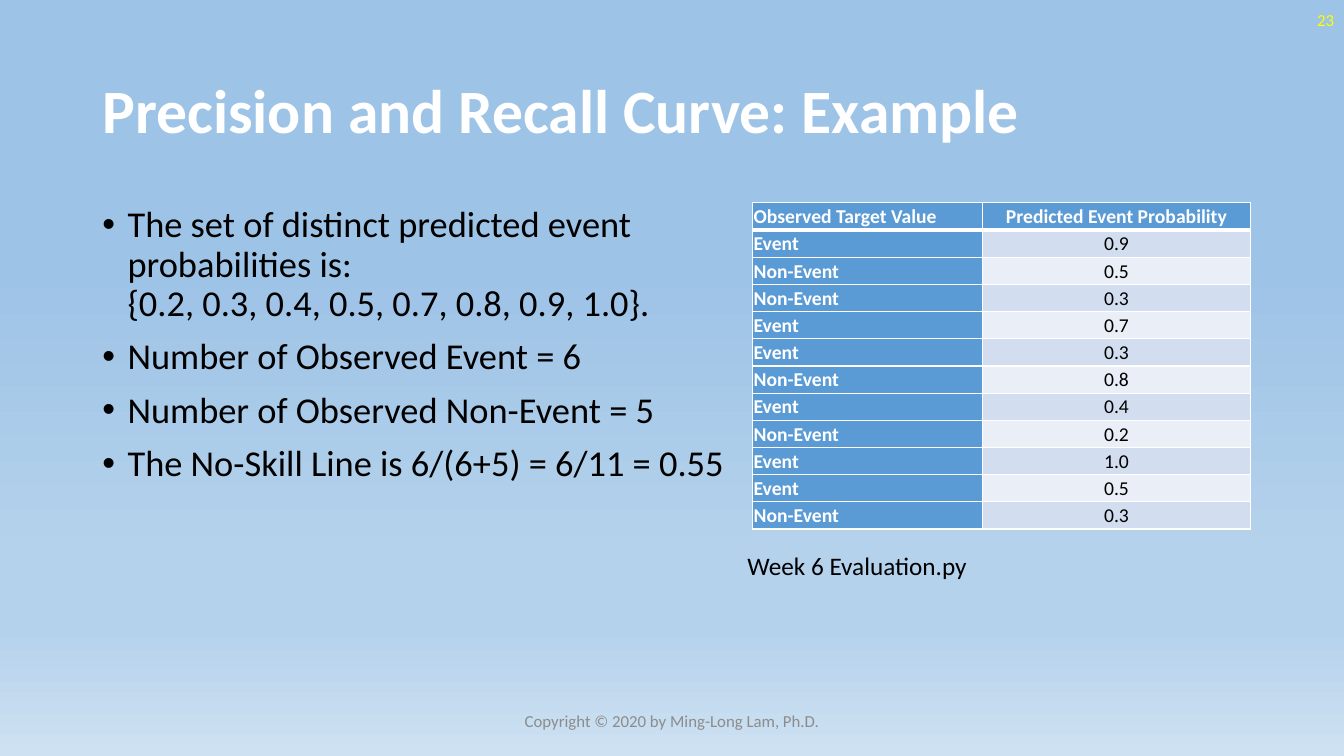
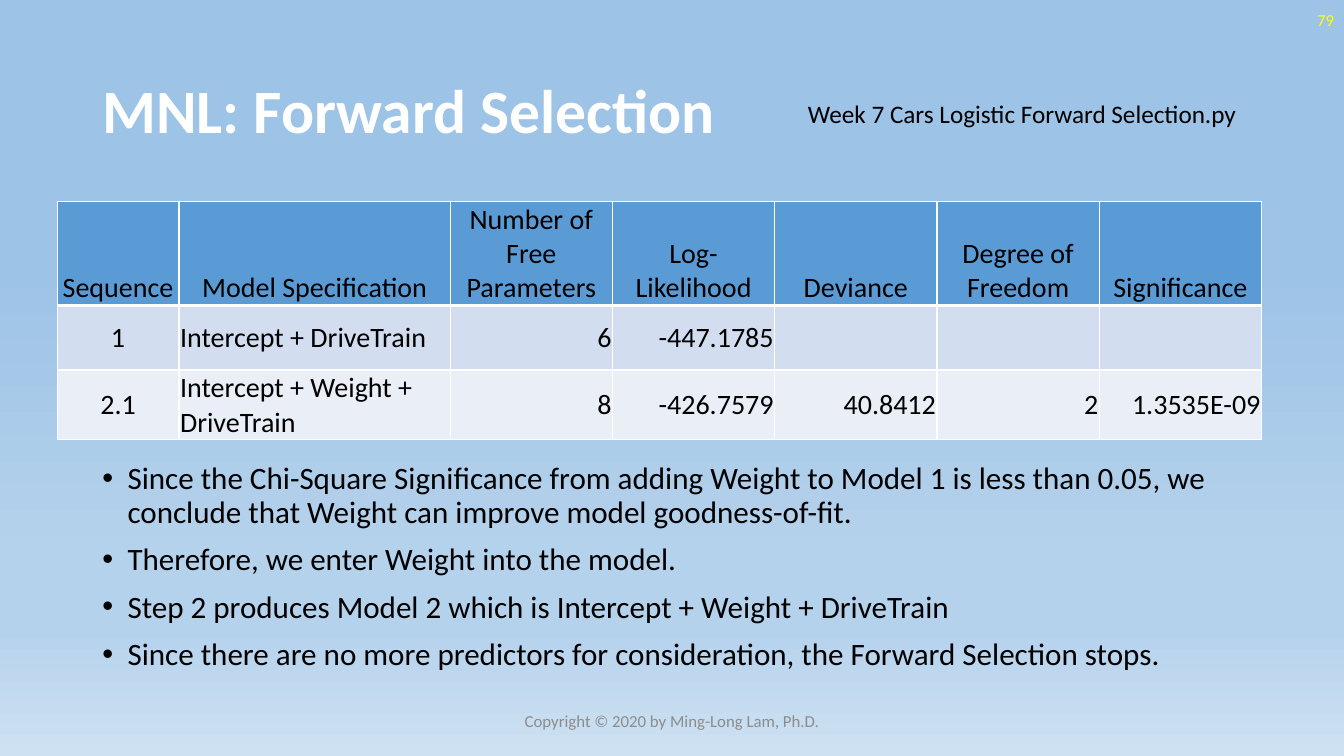
from lxml.etree import SubElement
from pptx import Presentation
from pptx.dml.color import RGBColor
from pptx.enum.text import MSO_ANCHOR as Anchor, MSO_AUTO_SIZE as AutoSize, PP_ALIGN as Align
from pptx.oxml.ns import qn
from pptx.util import Inches, Pt

COLORS = {
    "white": "FFFFFF", "black": "000000", "grey": "8C8C8C", "yellow": "FFFF00",
    "head": "5B9BD5", "odd": "D2DEEF", "even": "EAEFF7",
}
BACKGROUND = [(35, "9DC3E6"), (74, "B5D2EC"), (83, "B5D2EC"), (100, "CEE1F2")]
ALIGN = {"l": Align.LEFT, "c": Align.CENTER, "r": Align.RIGHT}
COPYRIGHT = "Copyright © 2020 by Ming-Long Lam, Ph.D."

deck = Presentation()
deck.slide_width, deck.slide_height = Inches(13.33), Inches(7.5)
COL, ROW = deck.slide_width / 40, deck.slide_height / 30


def place(col, row, cols, rows):
    """Turn grid units into left, top, width and height."""
    return [int(n * unit) for n, unit in zip((col, row, cols, rows), (COL, ROW, COL, ROW))]


def write(frame, *texts, size=18, color="black", bold=False, align="l", bullet=False, spacing=1.0):
    """Write one paragraph per text in the given format."""
    for index, text in enumerate(texts):
        para = frame.add_paragraph() if index else frame.paragraphs[0]
        para.text = text
        para.alignment = ALIGN[align]
        para.line_spacing = spacing
        if bullet:
            para.space_before = Pt(10 if index else 0)
            props = para._p.get_or_add_pPr()
            props.set("marL", str(Inches(0.25)))
            props.set("indent", str(-Inches(0.25)))
            SubElement(props, qn("a:buFont"), typeface="Arial")
            SubElement(props, qn("a:buChar"), char="•")
        for span in para.runs:
            span.font.name = "Calibri"
            span.font.size = Pt(size)
            span.font.bold = bold
            span.font.color.rgb = RGBColor.from_string(COLORS[color])


slides = [
    {
        "title": "Precision and Recall Curve: Example",
        "number": "23",
        "bullets": [
            "The set of distinct predicted event probabilities is:\n{0.2, 0.3, 0.4, 0.5, 0.7, 0.8, 0.9, 1.0}.",
            "Number of Observed Event = 6",
            "Number of Observed Non-Event = 5",
            "The No-Skill Line is 6/(6+5) = 6/11 = 0.55",
        ],
        "bullet_size": 26,
        "bullet_spot": (2.75, 8, 21.2, 19),
        "note": "Week 6 Evaluation.py",
        "note_spot": (21.95, 21.64, 7.2, 1.6),
        "table_spot": (22.4, 8.05),
        "col_spans": [6.84, 7.98],
        "row_spans": [1.08] * 12,
        "table_size": 14,
        "head_align": "lc",
        "body_align": "lc",
        "head_anchor": Anchor.MIDDLE,
        "label_columns": 1,
        "head_style": {"color": "white", "bold": True},
        "rows": [
            ("Observed Target Value", "Predicted Event Probability"),
            ("Event", "0.9"),
            ("Non-Event", "0.5"),
            ("Non-Event", "0.3"),
            ("Event", "0.7"),
            ("Event", "0.3"),
            ("Non-Event", "0.8"),
            ("Event", "0.4"),
            ("Non-Event", "0.2"),
            ("Event", "1.0"),
            ("Event", "0.5"),
            ("Non-Event", "0.3"),
        ],
    },
    {
        "title": "MNL: Forward Selection",
        "number": "79",
        "bullets": [
            "Since the Chi-Square Significance from adding Weight to Model 1 is less than 0.05, "
            "we conclude that Weight can improve model goodness-of-fit.",
            "Therefore, we enter Weight into the model.",
            "Step 2 produces Model 2 which is Intercept + Weight + DriveTrain",
            "Since there are no more predictors for consideration, the Forward Selection stops.",
        ],
        "bullet_size": 22.2,
        "bullet_spot": (2.75, 18.16, 34.5, 8.88),
        "note": "Week 7 Cars Logistic Forward Selection.py",
        "note_spot": (23.75, 3.72, 13.5, 1.6),
        "table_spot": (1.7, 8),
        "col_spans": [3.63, 8.07] + [4.83] * 5,
        "row_spans": [4.08, 2.56, 2.76],
        "table_size": 20,
        "head_align": "ccccccc",
        "body_align": "clrrrrr",
        "head_anchor": Anchor.BOTTOM,
        "label_columns": 0,
        "head_style": {},
        "rows": [
            ("Sequence", "Model Specification", "Number of Free Parameters", "Log-Likelihood",
             "Deviance", "Degree of Freedom", "Significance"),
            ("1", "Intercept + DriveTrain", "6", "-447.1785", "", "", ""),
            ("2.1", "Intercept + Weight + DriveTrain", "8", "-426.7579", "40.8412", "2", "1.3535E-09"),
        ],
    },
]

# Shared background
master = deck.slide_master
master.background.fill.gradient()
master.background.fill.gradient_angle = 270
stops = master.element.find(".//" + qn("p:bg")).find(".//" + qn("a:gsLst"))
for stop in list(stops):
    stops.remove(stop)
for position, shade in BACKGROUND:
    stop = SubElement(stops, qn("a:gs"), pos=str(position * 1000))
    SubElement(stop, qn("a:srgbClr"), val=shade)

for content in slides:
    page = deck.slides.add_slide(deck.slide_layouts[5])

    # Title
    title = page.shapes.title
    title.left, title.top, title.width, title.height = place(2.75, 1.6, 34.5, 5.8)
    title.text_frame.auto_size = AutoSize.NONE
    title.text_frame.vertical_anchor = Anchor.MIDDLE
    write(title.text_frame, content["title"], size=44, color="white", bold=True, spacing=0.9)

    # Table
    rows, col_spans, row_spans = content["rows"], content["col_spans"], content["row_spans"]
    spot = place(*content["table_spot"], sum(col_spans), sum(row_spans))
    table = page.shapes.add_table(len(rows), len(col_spans), *spot).table
    for column, cols in zip(table.columns, col_spans):
        column.width = int(cols * COL)
    for r, (row, texts) in enumerate(zip(table.rows, rows)):
        row.height = int(row_spans[r] * ROW)
        for c, text in enumerate(texts):
            cell = row.cells[c]
            is_head = r == 0 or c < content["label_columns"]
            cell.fill.solid()
            band = "head" if is_head else "odd" if r % 2 else "even"
            cell.fill.fore_color.rgb = RGBColor.from_string(COLORS[band])
            cell.margin_left = cell.margin_right = cell.margin_top = Inches(0.01)
            cell.margin_bottom = 0
            cell.vertical_anchor = Anchor.MIDDLE if r else content["head_anchor"]
            write(cell.text_frame, text, size=content["table_size"],
                  align=content["body_align" if r else "head_align"][c],
                  **(content["head_style"] if is_head else {}))
            props = cell._tc.get_or_add_tcPr()
            widths = {"L": 1, "R": 1, "T": 3 if r == 1 else 1, "B": 1 if r else 3}
            for index, (side, width) in enumerate(widths.items()):
                line = SubElement(props, qn("a:ln" + side), w=str(Pt(width)))
                SubElement(SubElement(line, qn("a:solidFill")), qn("a:srgbClr"), val=COLORS["white"])
                props.insert(index, line)

    # Bullets, note, page number and footer
    for spot, texts, anchor, wrap, style in [
        (content["bullet_spot"], content["bullets"], Anchor.TOP, True,
         {"size": content["bullet_size"], "bullet": True, "spacing": 0.9}),
        (content["note_spot"], [content["note"]], Anchor.TOP, False, {}),
        ((31, 0, 9, 1.6), [content["number"]], Anchor.MIDDLE, True,
         {"size": 12, "color": "yellow", "align": "r"}),
        ((13.25, 27.8, 13.5, 1.6), [COPYRIGHT], Anchor.MIDDLE, True,
         {"size": 12, "color": "grey", "align": "c"}),
    ]:
        box = page.shapes.add_textbox(*place(*spot))
        box.text_frame.word_wrap = wrap
        box.text_frame.vertical_anchor = anchor
        write(box.text_frame, *texts, **style)

deck.save("out.pptx")
